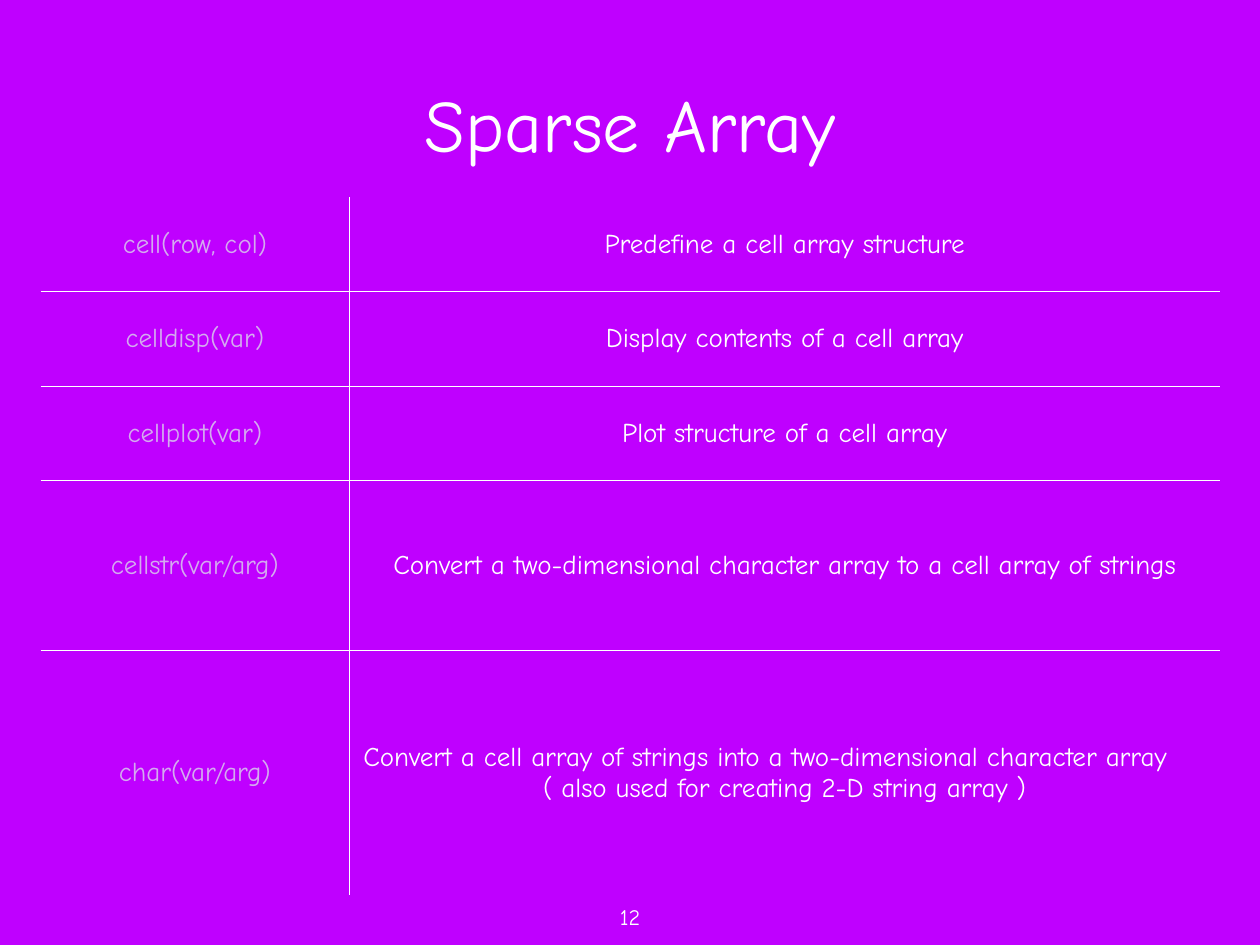
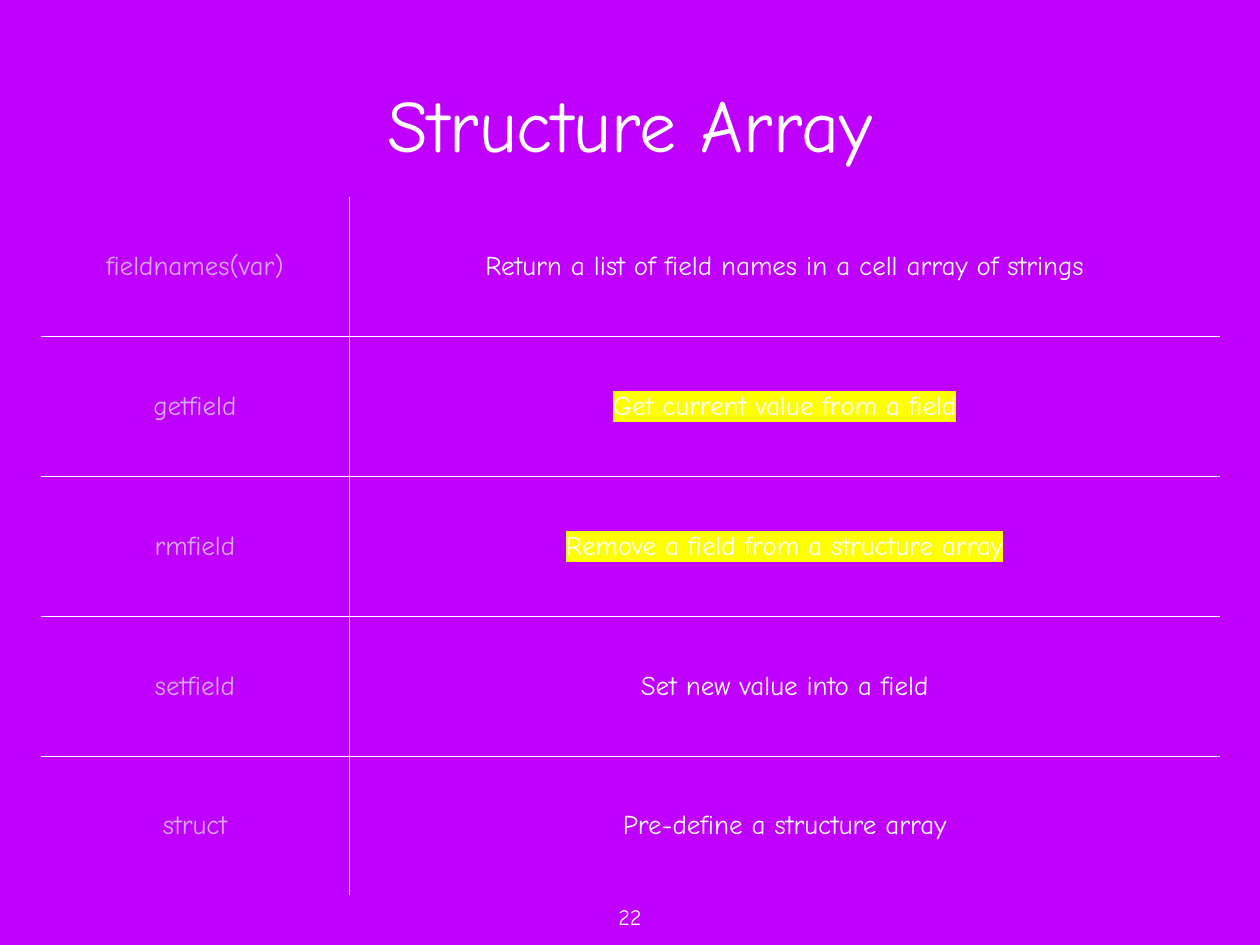
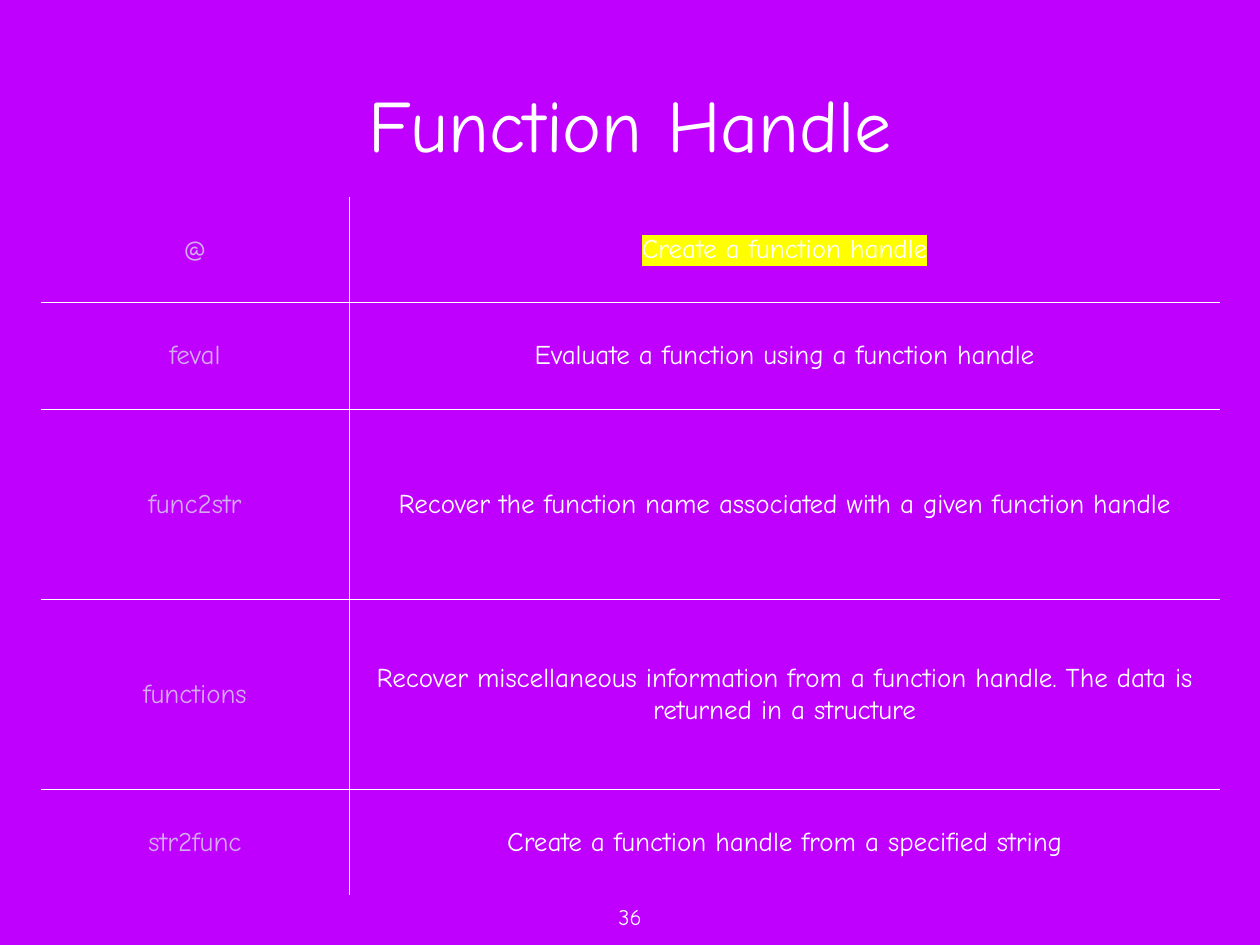
"""Builds three slides of function tables on a violet ground."""
from dataclasses import dataclass

from lxml.etree import SubElement
from pptx import Presentation
from pptx.dml.color import RGBColor
from pptx.enum.text import MSO_ANCHOR, MSO_AUTO_SIZE, PP_ALIGN
from pptx.oxml.ns import qn
from pptx.slide import Slide
from pptx.table import Table, _Cell
from pptx.text.text import TextFrame, _Paragraph
from pptx.util import Inches, Pt


@dataclass(frozen=True)
class Theme:
    """Holds the colours, sizes and font of the deck."""
    ground: str = "BF00FF"
    white: str = "FFFFFF"
    pale: str = "D4ABEF"
    mark: str = "FFFF00"
    font: str = "Comic Neue"
    title: int = 60
    body: int = 22
    foot: int = 18
    inset: float = 0.06
    rule: int = 1
    plain: str = "{2D5ABB26-0587-4C30-8999-92F81FD0307C}"


@dataclass(frozen=True)
class Row:
    """Describes one function and what it does."""
    name: str
    text: str
    high: float
    mark: bool = False
    lead: str = ""


@dataclass(frozen=True)
class Page:
    """Describes one slide."""
    title: str
    number: str
    rows: tuple[Row, ...]


THEME = Theme()
WIDE, TALL = 14.22, 10.67
COLS = (3.48, 9.83)

PAGES = (
    Page("Sparse Array", "12", (
        Row("cell(row, col)", "Predefine a cell array structure", 1.06),
        Row("celldisp(var)", "Display contents of a cell array", 1.07),
        Row("cellplot(var)", "Plot structure of a cell array", 1.07),
        Row("cellstr(var/arg)",
            "Convert a two-dimensional character array to a cell array of strings", 1.92),
        Row("char(var/arg)", "( also used for creating 2-D string array )", 2.76,
            lead="Convert a cell array of strings into a two-dimensional character array"),
    )),
    Page("Structure Array", "22", (
        Row("fieldnames(var)", "Return a list of field names in a cell array of strings", 1.57),
        Row("getfield", "Get current value from a field", 1.58, mark=True),
        Row("rmfield", "Remove a field from a structure array", 1.58, mark=True),
        Row("setfield", "Set new value into a field", 1.58),
        Row("struct", "Pre-define a structure array", 1.57),
    )),
    Page("Function Handle", "36", (
        Row("@", "Create a function handle", 1.19, mark=True),
        Row("feval", "Evaluate a function using a function handle", 1.2),
        Row("func2str", "Recover the function name associated with a given function handle", 2.15),
        Row("functions", "Recover miscellaneous information from a function handle. "
            "The data is returned in a structure", 2.15),
        Row("str2func", "Create a function handle from a specified string", 1.19),
    )),
)


def write(para: _Paragraph, text: str, size: int, tint: str, mark: bool = False) -> None:
    """Adds one centred run, on a marker stripe if asked."""
    para.alignment = PP_ALIGN.CENTER
    run = para.add_run()
    run.text = text
    run.font.size = Pt(size)
    run.font.color.rgb = RGBColor.from_string(tint)
    if mark:
        glow = SubElement(run.font._element, qn("a:highlight"))
        SubElement(glow, qn("a:srgbClr"), val=THEME.mark)
    run.font.name = THEME.font


def inset(item: TextFrame | _Cell, anchor: MSO_ANCHOR) -> None:
    """Sets equal margins and the anchor of a text holder."""
    item.margin_left = item.margin_right = Inches(THEME.inset)
    item.margin_top = item.margin_bottom = Inches(THEME.inset)
    item.vertical_anchor = anchor


def border(cell: _Cell, sides: str) -> None:
    """Rules the given sides of a cell and clears the others."""
    props = cell._tc.get_or_add_tcPr()
    for side in "LRTB":
        line = SubElement(props, qn(f"a:ln{side}"), w=str(Pt(THEME.rule)))
        if side in sides:
            fill = SubElement(line, qn("a:solidFill"))
            SubElement(fill, qn("a:srgbClr"), val=THEME.white)
        else:
            SubElement(line, qn("a:noFill"))
    cell.fill.background()


def fill_row(grid: Table, at: int, row: Row, last: int) -> None:
    """Fills and rules one row of the table."""
    grid.rows[at].height = Inches(row.high)
    edge = ("T" if at else "") + ("B" if at < last else "")
    name, note = grid.cell(at, 0), grid.cell(at, 1)
    for cell, side in ((name, "R"), (note, "L")):
        inset(cell, MSO_ANCHOR.MIDDLE)
        border(cell, side + edge)
    write(name.text_frame.paragraphs[0], row.name, THEME.body, THEME.pale)
    para = note.text_frame.paragraphs[0]
    if row.lead:
        write(para, row.lead, THEME.body, THEME.white)
        para.alignment = PP_ALIGN.LEFT
        para._p.get_or_add_pPr().set("marL", str(Inches(0.1)))
        para = note.text_frame.add_paragraph()
    write(para, row.text, THEME.body, THEME.white, row.mark)


def add_grid(slide: Slide, rows: tuple[Row, ...]) -> None:
    """Draws the table of functions."""
    high = sum(row.high for row in rows)
    frame = slide.shapes.add_table(len(rows), len(COLS), Inches(0.46), Inches(2.23),
                                   Inches(sum(COLS)), Inches(high))
    grid = frame.table
    grid.first_row = grid.horz_banding = False
    grid._tbl.tblPr.find(qn("a:tableStyleId")).text = THEME.plain
    for col, wide in zip(grid.columns, COLS):
        col.width = Inches(wide)
    for at, row in enumerate(rows):
        fill_row(grid, at, row, len(rows) - 1)


def add_title(slide: Slide, text: str) -> None:
    """Places and styles the slide title."""
    title = slide.shapes.title
    title.left, title.top = Inches(1.39), Inches(0)
    title.width, title.height = Inches(11.44), Inches(2.78)
    frame = title.text_frame
    frame.auto_size = MSO_AUTO_SIZE.NONE
    inset(frame, MSO_ANCHOR.MIDDLE)
    write(frame.paragraphs[0], text, THEME.title, THEME.white)


def add_foot(slide: Slide, text: str) -> None:
    """Writes the page number at the foot."""
    wide = 0.46
    box = slide.shapes.add_textbox(Inches((WIDE - wide) / 2), Inches(10.06),
                                   Inches(wide), Inches(0.5))
    frame = box.text_frame
    frame.word_wrap = False
    frame.auto_size = MSO_AUTO_SIZE.SHAPE_TO_FIT_TEXT
    inset(frame, MSO_ANCHOR.BOTTOM)
    write(frame.paragraphs[0], text, THEME.foot, THEME.white)


def main() -> None:
    """Builds and saves the deck."""
    deck = Presentation()
    deck.slide_width, deck.slide_height = Inches(WIDE), Inches(TALL)
    ground = deck.slide_master.background.fill
    ground.solid()
    ground.fore_color.rgb = RGBColor.from_string(THEME.ground)
    for page in PAGES:
        slide = deck.slides.add_slide(deck.slide_layouts.get_by_name("Title Only"))
        add_title(slide, page.title)
        add_foot(slide, page.number)
        add_grid(slide, page.rows)
    deck.save("out.pptx")


if __name__ == "__main__":
    main()
